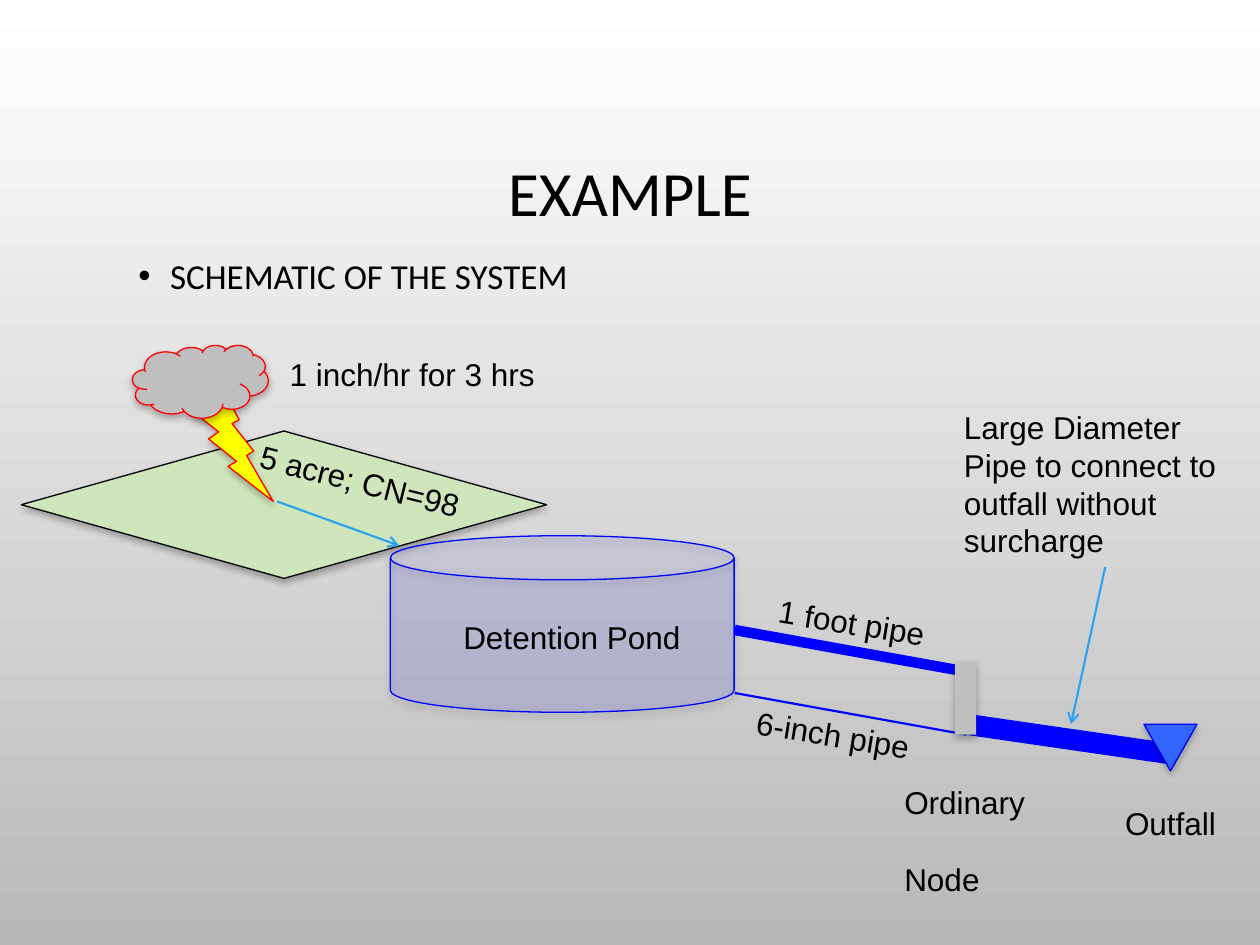
"""Build a slide with the schematic of a detention pond system."""
from lxml.etree import SubElement
from pptx import Presentation
from pptx.dml.color import RGBColor
from pptx.enum.shapes import MSO_CONNECTOR, MSO_SHAPE as Preset
from pptx.enum.text import MSO_ANCHOR, MSO_AUTO_SIZE as AutoSize, PP_ALIGN
from pptx.oxml.ns import qn
from pptx.util import Cm, Pt

BLACK = RGBColor(0x00, 0x00, 0x00)
WHITE = RGBColor(0xFF, 0xFF, 0xFF)
SILVER = RGBColor(0xB9, 0xB9, 0xB9)
GREY = RGBColor(0xBF, 0xBF, 0xBF)
GREEN = RGBColor(0xCF, 0xE6, 0xBC)
YELLOW = RGBColor(0xFF, 0xFF, 0x00)
RED = RGBColor(0xFF, 0x00, 0x00)
BLUE = RGBColor(0x00, 0x00, 0xFF)
MID_BLUE = RGBColor(0x33, 0x66, 0xFF)
SKY = RGBColor(0x2F, 0xA3, 0xEE)

TITLE = "EXAMPLE"
BULLET = "SCHEMATIC OF THE SYSTEM"

OUTFALL_PIPE = ((19.48, 14.6), (23.55, 15.19), BLUE, 12, False)
CATCHMENT = [
    (Preset.DIAMOND, (0.43, 8.69, 10.59, 2.97), GREEN, BLACK, 100, 0),
    (Preset.LIGHTNING_BOLT, (3.81, 7.82, 1.7, 2.29), YELLOW, RED, 100, 0),
    (Preset.CLOUD, (2.67, 6.96, 2.74, 1.47), GREY, RED, 100, 0),
    (Preset.CAN, (7.87, 10.8, 6.93, 3.56), BLUE, BLUE, 10, 0),
]
FLOWS = [
    ((5.59, 10.11), (8.05, 11), SKY, 1.25, True),
    ((14.81, 13.97), (19.48, 14.81), BLUE, 1.25, False),
    ((14.81, 12.7), (19.48, 13.54), BLUE, 6, False),
]
NODES = [
    (Preset.RECTANGLE, (19.25, 13.34, 0.43, 1.47), GREY, None, 100, 0),
    (Preset.ISOSCELES_TRIANGLE, (23.06, 14.6, 1.07, 0.94), MID_BLUE, BLUE, 100, 180),
]
LABELS = [
    (["5 acre; CN=98"], (4.95, 9.19, 4.67, 1.02), 14.2, False),
    (["1 inch/hr for 3 hrs"], (5.59, 7.04, 5.51, 1.02), 0, False),
    (["Detention Pond"], (9.09, 12.34, 4.93, 1.02), 0, False),
    (["1 foot pipe"], (15.44, 12.04, 3.51, 1.02), 9.2, False),
    (["6-inch pipe"], (14.99, 14.3, 3.66, 1.02), 9.2, False),
    (["Ordinary", "Node"], (17.98, 15.67, 2.97, 1.8), 0, False),
    (["Outfall"], (22.43, 16.08, 2.36, 1.02), 0, False),
    (["Large Diameter\vPipe to connect to outfall without surcharge"],
     (19.18, 8.1, 6.2, 3.33), 0, True),
]
POINTER = ((22.28, 11.43), (21.59, 14.6), SKY, 1.25, True)


def lengths(numbers):
    return [Cm(number) for number in numbers]


def style(paragraph, font, size):
    paragraph.font.name = font
    paragraph.font.size = Pt(size)
    paragraph.font.color.rgb = BLACK


def add_line(page, start, end, color, width, arrow):
    line = page.shapes.add_connector(MSO_CONNECTOR.STRAIGHT, *lengths(start + end))
    line.line.color.rgb = color
    line.line.width = Pt(width)
    properties = line._element.spPr
    if arrow:
        SubElement(properties.find(qn("a:ln")), qn("a:tailEnd"), type="arrow")
    SubElement(properties, qn("a:effectLst"))


def add_shadow(shape):
    shape.shadow.inherit = False
    effects = shape._element.spPr.find(qn("a:effectLst"))
    shadow = SubElement(effects, qn("a:outerShdw"), blurRad=str(Pt(4)),
                        dist=str(Pt(2)), dir="5400000", rotWithShape="0")
    color = SubElement(shadow, qn("a:srgbClr"), val=str(BLACK))
    SubElement(color, qn("a:alpha"), val="28000")


def add_shape(page, preset, place, fill, outline, opacity, rotation):
    shape = page.shapes.add_shape(preset, *lengths(place))
    shape.rotation = rotation
    shape.fill.solid()
    shape.fill.fore_color.rgb = fill
    if opacity < 100:
        color = shape._element.spPr.find(qn("a:solidFill"))[0]
        SubElement(color, qn("a:alpha"), val=str(opacity * 1000))
    if outline is None:
        shape.line.fill.background()
    else:
        shape.line.color.rgb = outline
        shape.line.width = Pt(0.75)
    add_shadow(shape)


def add_label(page, texts, place, rotation, wrap):
    box = page.shapes.add_textbox(*lengths(place))
    box.rotation = rotation
    frame = box.text_frame
    frame.word_wrap = wrap
    frame.auto_size = AutoSize.SHAPE_TO_FIT_TEXT
    frame.text = "\n".join(texts)
    for index, para in enumerate(frame.paragraphs):
        if index:
            para.space_before = Pt(22)
        style(para, "Arial", 18)


def add_heading(page, text, place, size, spacing):
    frame = page.shapes.add_textbox(*lengths(place)).text_frame
    frame.word_wrap = True
    frame.text = text
    para = frame.paragraphs[0]
    para.line_spacing = spacing
    return frame, para, size


def add_title(page):
    frame, para, size = add_heading(page, TITLE, (1.9, 1.73, 21.6, 4.44), 36, 0.9)
    frame.vertical_anchor = MSO_ANCHOR.MIDDLE
    para.alignment = PP_ALIGN.CENTER
    style(para, "Calibri", size)


def add_bullet(page):
    frame, para, size = add_heading(page, BULLET, (2.54, 4.83, 20.32, 11.28), 20, 1.2)
    properties = para._p.get_or_add_pPr()
    properties.set("marL", str(Cm(0.64)))
    properties.set("indent", str(-Cm(0.64)))
    color = SubElement(properties, qn("a:buClr"))
    SubElement(color, qn("a:srgbClr"), val=str(BLACK))
    SubElement(properties, qn("a:buFont"), typeface="Arial")
    SubElement(properties, qn("a:buChar"), char="•")
    style(para, "Calibri", size)


def main():
    deck = Presentation()
    deck.slide_width, deck.slide_height = lengths((25.4, 19.05))
    page = deck.slides.add_slide(deck.slide_layouts[6])
    backdrop = page.background.fill
    backdrop.gradient()
    backdrop.gradient_angle = 270
    for stop, color in zip(backdrop.gradient_stops, (WHITE, SILVER)):
        stop.color.rgb = color

    add_line(page, *OUTFALL_PIPE)
    add_title(page)
    add_bullet(page)
    for shape in CATCHMENT:
        add_shape(page, *shape)
    for flow in FLOWS:
        add_line(page, *flow)
    for node in NODES:
        add_shape(page, *node)
    for label in LABELS:
        add_label(page, *label)
    add_line(page, *POINTER)
    deck.save("out.pptx")


if __name__ == "__main__":
    main()
